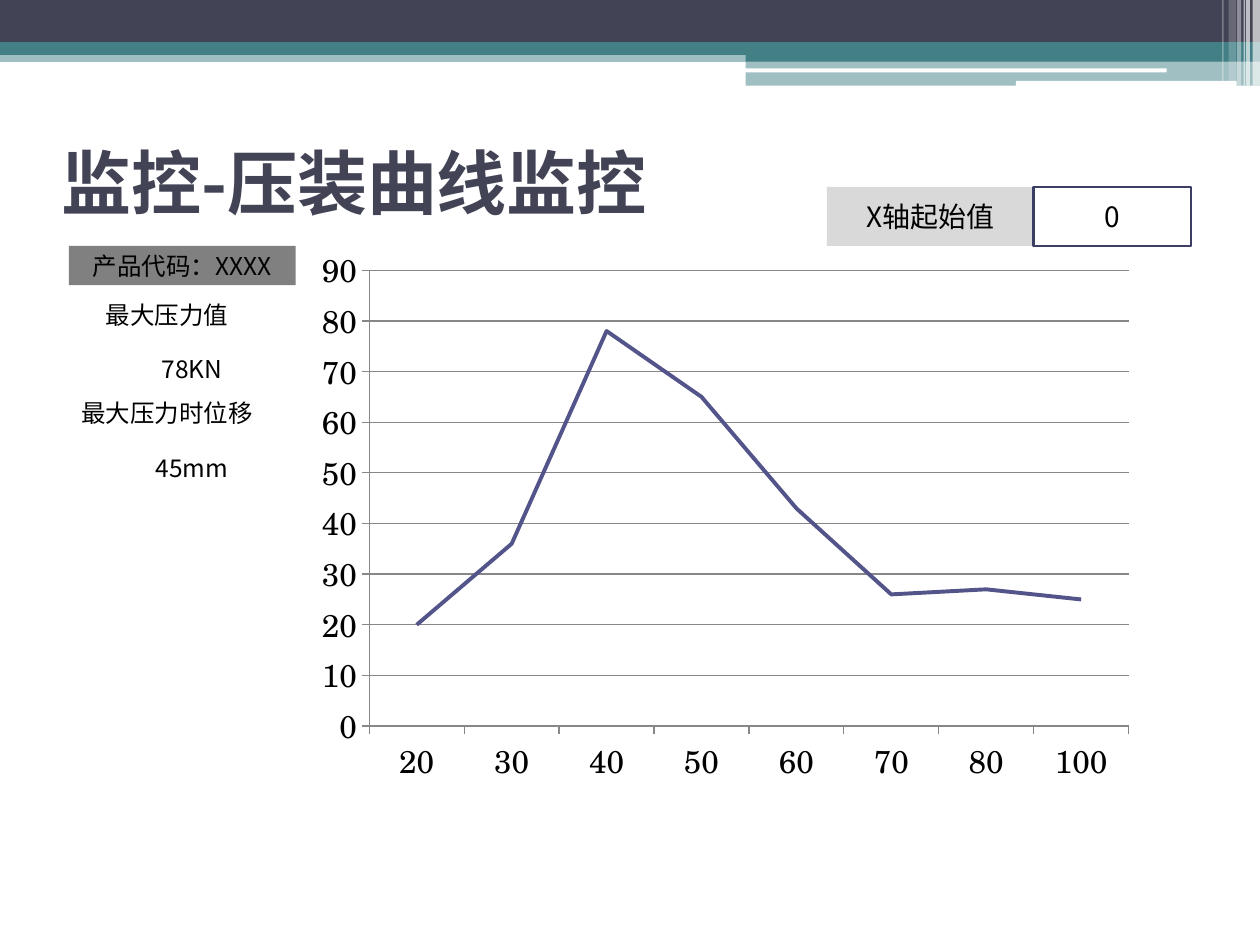
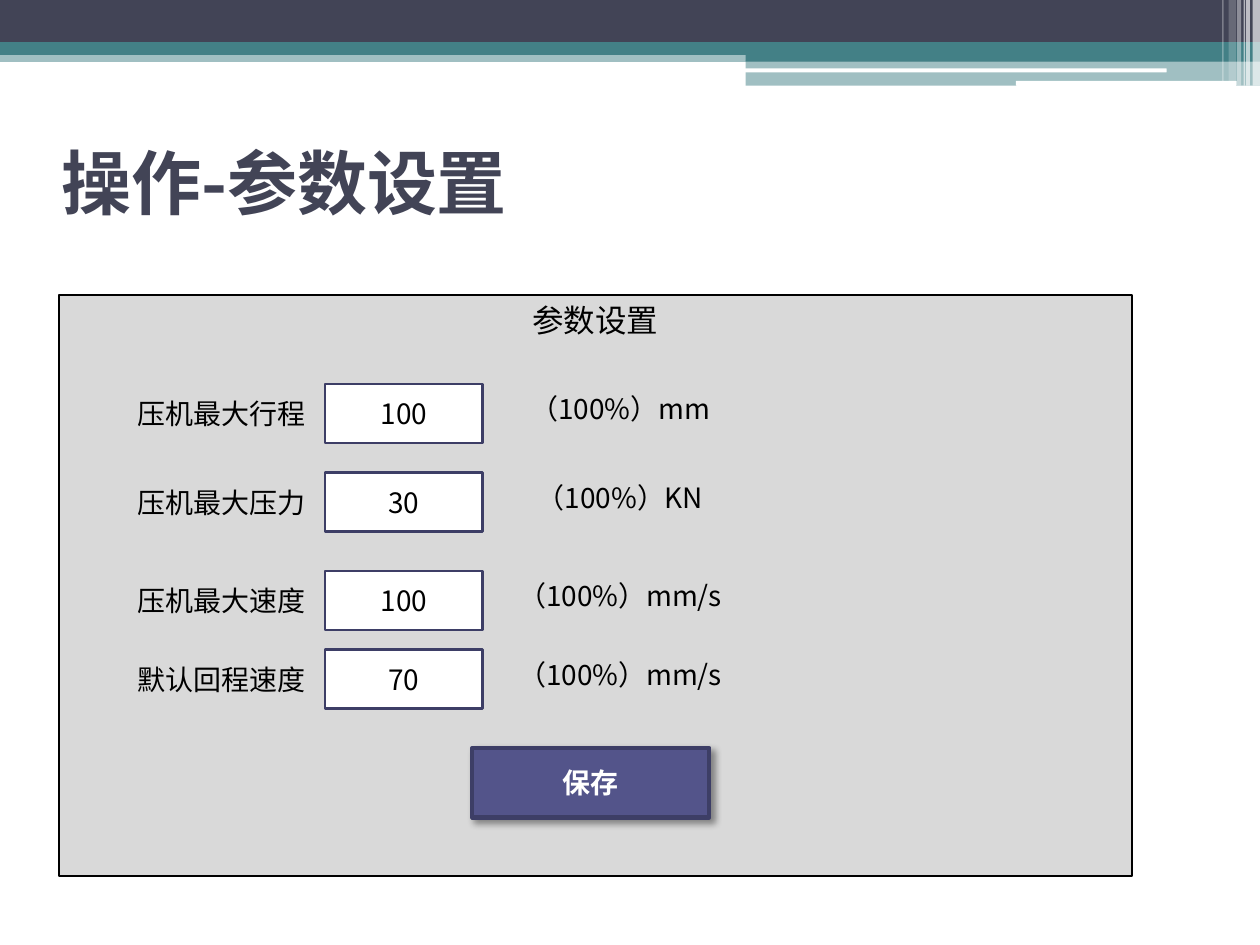
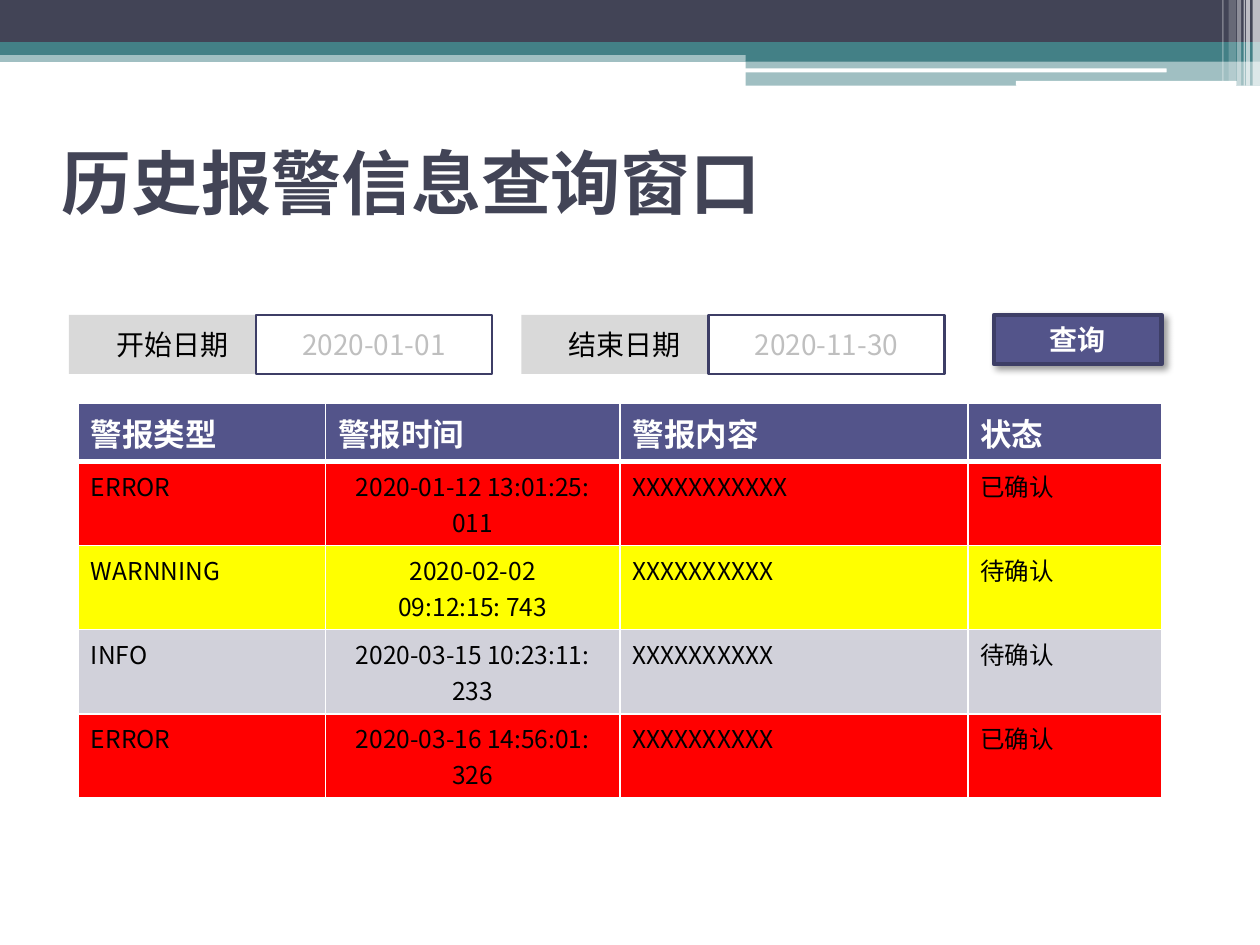
from lxml import etree
from pptx import Presentation
from pptx.chart.data import CategoryChartData
from pptx.dml.color import RGBColor
from pptx.enum.chart import XL_CHART_TYPE, XL_TICK_MARK
from pptx.enum.shapes import MSO_SHAPE
from pptx.enum.text import MSO_ANCHOR, PP_ALIGN
from pptx.oxml import parse_xml
from pptx.oxml.ns import nsdecls, qn
from pptx.util import Cm, Pt

RECTANGLE, ROUNDED = MSO_SHAPE.RECTANGLE, MSO_SHAPE.ROUNDED_RECTANGLE
LEFT, CENTER = PP_ALIGN.LEFT, PP_ALIGN.CENTER
TOP, MIDDLE = MSO_ANCHOR.TOP, MSO_ANCHOR.MIDDLE
LINE_CHART, TICK_OUTSIDE = XL_CHART_TYPE.LINE, XL_TICK_MARK.OUTSIDE


class Theme:
    font = "Noto Sans CJK SC"
    chart_font = "TeX Gyre Schola"
    title_size, heading_size, body_size, small_size = 40, 18, 16, 14
    black, white = RGBColor(0, 0, 0), RGBColor(255, 255, 255)
    navy = RGBColor.from_string("424456")
    teal = RGBColor.from_string("438086")
    indigo = RGBColor.from_string("53548A")
    outline = RGBColor.from_string("3D3E66")
    purple = RGBColor.from_string("A04DA3")
    panel = RGBColor.from_string("D9D9D9")
    hint = RGBColor.from_string("BFBFBF")
    gray = RGBColor.from_string("808080")
    grid = RGBColor.from_string("878787")
    error = RGBColor.from_string("FF0000")
    warning = RGBColor.from_string("FFFF00")
    info = RGBColor.from_string("D1D1DA")


def style_paragraph(paragraph, size, color, bold=False, align=CENTER):
    paragraph.alignment = align
    font = paragraph.font
    font.size, font.bold, font.name = Pt(size), bold, Theme.font
    font.color.rgb = color
    defaults = paragraph._p.pPr.find(qn("a:defRPr"))
    etree.SubElement(defaults, qn("a:ea"), typeface=Theme.font)


def add_box(slide, place, text="", fill=None, line=None, line_width=1.5, size=Theme.body_size,
            color=Theme.black, bold=False, align=CENTER, anchor=MIDDLE, kind=RECTANGLE):
    """Add a flat shape at place (left, top, width, height in cm)."""
    shape = slide.shapes.add_shape(kind, *[Cm(length) for length in place])
    shape.shadow.inherit = False
    if fill is None:
        shape.fill.background()
    else:
        shape.fill.solid()
        shape.fill.fore_color.rgb = fill
    if line is None:
        shape.line.fill.background()
    else:
        shape.line.color.rgb = line
        shape.line.width = Pt(line_width)
    if text:
        frame = shape.text_frame
        frame.word_wrap = True
        frame.vertical_anchor = anchor
        frame.text = text
        style_paragraph(frame.paragraphs[0], size, color, bold, align)
    return shape


presentation = Presentation()
presentation.slide_width, presentation.slide_height = Cm(25.4), Cm(19.05)

# Shared header bands and titles: place, colour, opacity in percent, kind
bands = [
    ((0, 1.02, 25.4, 0.23), Theme.teal, 50, RECTANGLE),
    ((0, 0, 25.4, 0.86), Theme.navy, 100, RECTANGLE),
    ((0, 0.85, 25.4, 0.26), Theme.teal, 100, RECTANGLE),
    ((15.03, 0.99, 10.37, 0.25), Theme.teal, 100, RECTANGLE),
    ((15.03, 1.22, 10.37, 0.51), Theme.teal, 50, RECTANGLE),
    ((15.01, 1.38, 8.51, 0.08), Theme.white, 100, ROUNDED),
    ((20.48, 1.63, 4.45, 0.1), Theme.white, 100, ROUNDED),
]
stripes = [(25.25, 0.15, 1.73, 65), (25.12, 0.08, 1.73, 65), (25.07, 0.03, 1.73, 60),
           (24.94, 0.08, 1.73, 40), (24.77, 0.15, 1.63, 20), (24.64, 0.03, 1.63, 30)]
for left, width, height, opacity in stripes:
    bands.append(((left, 0, width, height), Theme.white, opacity, RECTANGLE))

slides = []
for title in ("监控-压装曲线监控", "操作-参数设置", "历史报警信息查询窗口"):
    slide = presentation.slides.add_slide(presentation.slide_layouts[6])
    for place, color, opacity, kind in bands:
        band = add_box(slide, place, fill=color, kind=kind)
        if opacity < 100:
            fill_color = band._element.spPr.find(qn("a:solidFill")).find(qn("a:srgbClr"))
            etree.SubElement(fill_color, qn("a:alpha"), val=str(opacity * 1000))
    add_box(slide, (0.99, 2.18, 22.86, 2.97), title, size=Theme.title_size,
            color=Theme.navy, bold=True, align=LEFT)
    slides.append(slide)
monitor_slide, settings_slide, alarm_slide = slides

# Press curve
chart_data = CategoryChartData()
chart_data.categories = ["20", "30", "40", "50", "60", "70", "80", "100"]
chart_data.add_series("Series 1", [20, 36, 78, 65, 43, 26, 27, 25])
for name in ("Series 2", "Series 3"):
    chart_data.add_series(name, [None] * 8)
chart = monitor_slide.shapes.add_chart(
    LINE_CHART, Cm(6.15), Cm(4.76), Cm(16.94), Cm(11.28), chart_data).chart
chart.has_legend = chart.has_title = False
chart.font.size, chart.font.name = Pt(Theme.heading_size), Theme.chart_font
chart.font.color.rgb = Theme.black
chart.plots[0].vary_by_categories = False
for series, color in zip(chart.plots[0].series, (Theme.indigo, Theme.teal, Theme.purple)):
    series.smooth = False
    series.format.line.color.rgb = color
    series.format.line.width = Pt(2.25)
for axis in (chart.category_axis, chart.value_axis):
    axis.major_tick_mark = TICK_OUTSIDE
    axis.format.line.color.rgb = Theme.grid
    axis.format.line.width = Pt(0.75)
value_axis = chart.value_axis
value_axis.minimum_scale, value_axis.maximum_scale, value_axis.major_unit = 0, 90, 10
value_axis.has_major_gridlines = True
value_axis.major_gridlines.format.line.color.rgb = Theme.grid
value_axis.major_gridlines.format.line.width = Pt(0.75)

readings = [("最大压力值", "78KN"), ("最大压力时位移", "45mm")]
for index, (label, value) in enumerate(readings):
    top = 5.95 + index * 1.98
    add_box(monitor_slide, (1.33, top, 4.08, 0.79), label, Theme.white, size=Theme.small_size)
    add_box(monitor_slide, (2.18, top + 1.2, 3.38, 0.58), value, Theme.white,
            size=Theme.small_size)
add_box(monitor_slide, (1.39, 4.96, 4.57, 0.79), "产品代码：XXXX", Theme.gray,
        size=Theme.small_size)
add_box(monitor_slide, (16.67, 3.77, 4.17, 1.19), "X轴起始值", Theme.panel)
add_box(monitor_slide, (20.83, 3.77, 3.18, 1.19), "0", Theme.white, Theme.outline)

# Parameter panel
add_box(settings_slide, (1.19, 5.95, 21.63, 11.71), "参数设置", Theme.panel, Theme.black,
        size=Theme.heading_size, anchor=TOP)
parameters = [
    (7.74, "压机最大行程", "100", "（100%）mm"),
    (9.53, "压机最大压力", "30", "（100%）KN"),
    (11.51, "压机最大速度", "100", "（100%）mm/s"),
    (13.1, "默认回程速度", "70", "（100%）mm/s"),
]
for top, label, value, unit in parameters:
    add_box(settings_slide, (2.38, top, 4.17, 1.19), label, Theme.panel)
    add_box(settings_slide, (6.55, top, 3.18, 1.19), value, Theme.white, Theme.outline)
    add_box(settings_slide, (9.92, top - 0.2, 5.16, 1.4), unit, Theme.panel)

# Alarm table
alarms = [
    ("警报类型", "警报时间", "警报内容", "状态"),
    ("ERROR", "2020-01-12 13:01:25: 011", "XXXXXXXXXXX", "已确认"),
    ("WARNNING", "2020-02-02\v09:12:15: 743", "XXXXXXXXXX", "待确认"),
    ("INFO", "2020-03-15 10:23:11: 233", "XXXXXXXXXX", "待确认"),
    ("ERROR", "2020-03-16 14:56:01: 326", "XXXXXXXXXX", "已确认"),
]
row_fills = {"警报类型": Theme.indigo, "ERROR": Theme.error,
             "WARNNING": Theme.warning, "INFO": Theme.info}
column_widths = (4.98, 5.94, 7.01, 3.91)
table = alarm_slide.shapes.add_table(
    len(alarms), len(column_widths), Cm(1.58), Cm(8.13), Cm(21.84), Cm(6.92)).table
table.horz_banding = False
for column, width in zip(table.columns, column_widths):
    column.width = Cm(width)
for row_index, alarm in enumerate(alarms):
    is_header = row_index == 0
    table.rows[row_index].height = Cm(1.04 if is_header else 1.47)
    for column_index, text in enumerate(alarm):
        cell = table.cell(row_index, column_index)
        borders = {"lnL": 1, "lnR": 1, "lnT": 3 if row_index == 1 else 1,
                   "lnB": 3 if is_header else 1}
        for side, width in borders.items():
            cell._tc.get_or_add_tcPr().append(parse_xml(
                f'<a:{side} {nsdecls("a")} w="{Pt(width)}"><a:solidFill>'
                f'<a:srgbClr val="{Theme.white}"/></a:solidFill></a:{side}>'))
        cell.fill.solid()
        cell.fill.fore_color.rgb = row_fills[alarm[0]]
        paragraph = cell.text_frame.paragraphs[0]
        paragraph.text = text
        if is_header:
            style_paragraph(paragraph, Theme.heading_size, Theme.white, True, LEFT)
        else:
            style_paragraph(paragraph, Theme.small_size, Theme.black,
                            align=CENTER if column_index == 1 else LEFT)

# Date filters
for left, label, date in [(1.39, "开始日期", "2020-01-01"), (10.51, "结束日期", "2020-11-30")]:
    add_box(alarm_slide, (left, 6.35, 4.17, 1.19), label, Theme.panel)
    add_box(alarm_slide, (left + 3.77, 6.35, 4.76, 1.19), date, Theme.white, Theme.outline,
            color=Theme.hint)

# Raised buttons
for slide, place, text in [(settings_slide, (9.52, 15.08, 4.78, 1.4), "保存"),
                           (alarm_slide, (20.04, 6.35, 3.38, 0.99), "查询")]:
    button = add_box(slide, place, text, Theme.indigo, Theme.outline, 2.5,
                     color=Theme.white, bold=True)
    button._element.spPr.find(qn("a:effectLst")).append(parse_xml(
        f'<a:outerShdw {nsdecls("a")} blurRad="{Pt(4)}" dist="{Pt(3)}" dir="2700000">'
        f'<a:srgbClr val="{Theme.black}"><a:alpha val="40000"/></a:srgbClr></a:outerShdw>'))

presentation.save("out.pptx")
